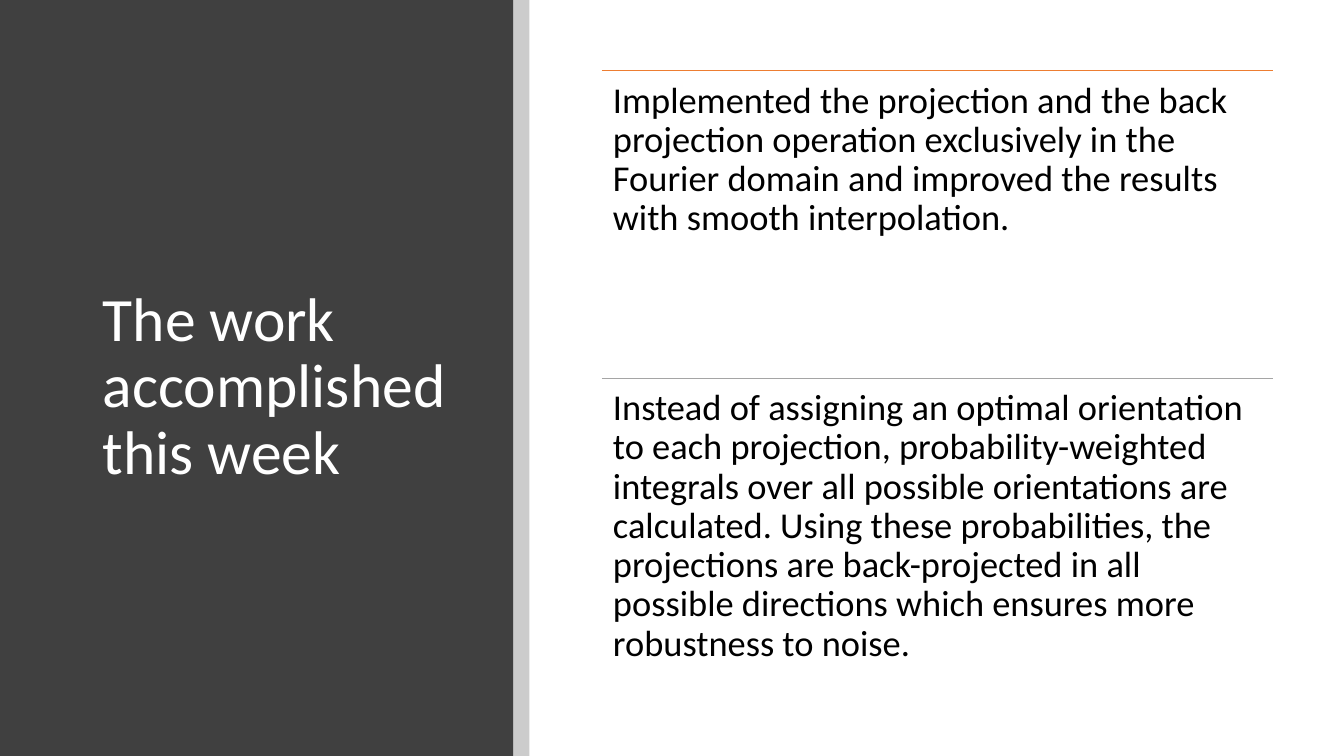
"""Build a slide on the work done this week: a dark title panel and two ruled notes."""
from lxml import etree
from pptx import Presentation
from pptx.dml.color import RGBColor
from pptx.enum.shapes import MSO_CONNECTOR, MSO_SHAPE
from pptx.enum.text import MSO_ANCHOR
from pptx.oxml.ns import qn
from pptx.util import Pt

PX = 9144
RECT = MSO_SHAPE.RECTANGLE
LINE = MSO_CONNECTOR.STRAIGHT
TOP, MIDDLE = MSO_ANCHOR.TOP, MSO_ANCHOR.MIDDLE


def color(code):
    return RGBColor.from_string(code)


def write(text, box, size, ink, inset=10, anchor=TOP):
    frame = slide.shapes.add_textbox(*[n * PX for n in box]).text_frame
    frame.word_wrap = True
    frame.vertical_anchor = anchor
    frame.margin_left = frame.margin_right = inset * PX
    frame.margin_top = frame.margin_bottom = inset * PX
    para = frame.paragraphs[0]
    para.line_spacing = 0.9
    run = para.add_run()
    run.text = text
    run.font.name = "Calibri"
    run.font.size = Pt(size)
    run.font.color.rgb = color(ink)


deck = Presentation()
deck.slide_width, deck.slide_height = 1333 * PX, 750 * PX
slide = deck.slides.add_slide(deck.slide_layouts[6])

for left, width, fill, alpha in [(0, 509, "404040", 100), (509, 16, "000000", 20)]:
    panel = slide.shapes.add_shape(RECT, left * PX, 0, width * PX, 750 * PX)
    panel.shadow.inherit = False
    panel.fill.solid()
    panel.fill.fore_color.rgb = color(fill)
    panel.line.fill.background()
    if alpha < 100:
        tone = panel.fill._xPr.find(".//" + qn("a:srgbClr"))
        etree.SubElement(tone, qn("a:alpha"), val=str(alpha * 1000))

write("The work accomplished this week", (92, 89, 365, 591), 44, "FFFFFF", anchor=MIDDLE)

notes = [
    ("ED7D31", "Implemented the projection and the back projection operation "
     "exclusively in the Fourier domain and improved the results with smooth "
     "interpolation."),
    ("A5A5A5", "Instead of assigning an optimal orientation to each projection, "
     "probability-weighted integrals over all possible orientations are calculated. "
     "Using these probabilities, the projections are back-projected in all possible "
     "directions which ensures more robustness to noise."),
]
left, width, height = 597, 666, 305
for i, (hue, text) in enumerate(notes):
    top = 70 + i * height
    rule = slide.shapes.add_connector(
        LINE, left * PX, top * PX, (left + width) * PX, top * PX)
    rule.line.color.rgb = color(hue)
    rule.line.width = Pt(0.5)
    etree.SubElement(rule._element.spPr, qn("a:effectLst"))
    write(text, (left, top, width, height), 26, "000000", inset=11)

deck.save("out.pptx")
